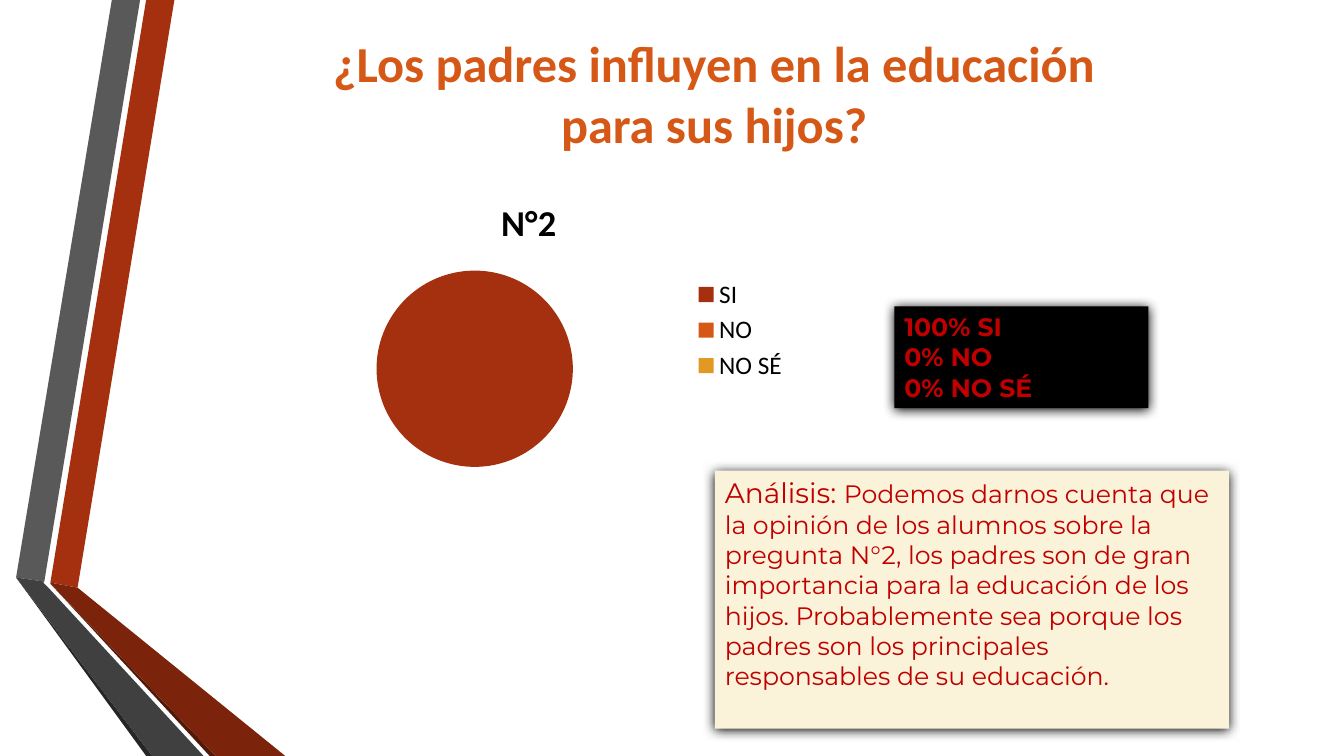
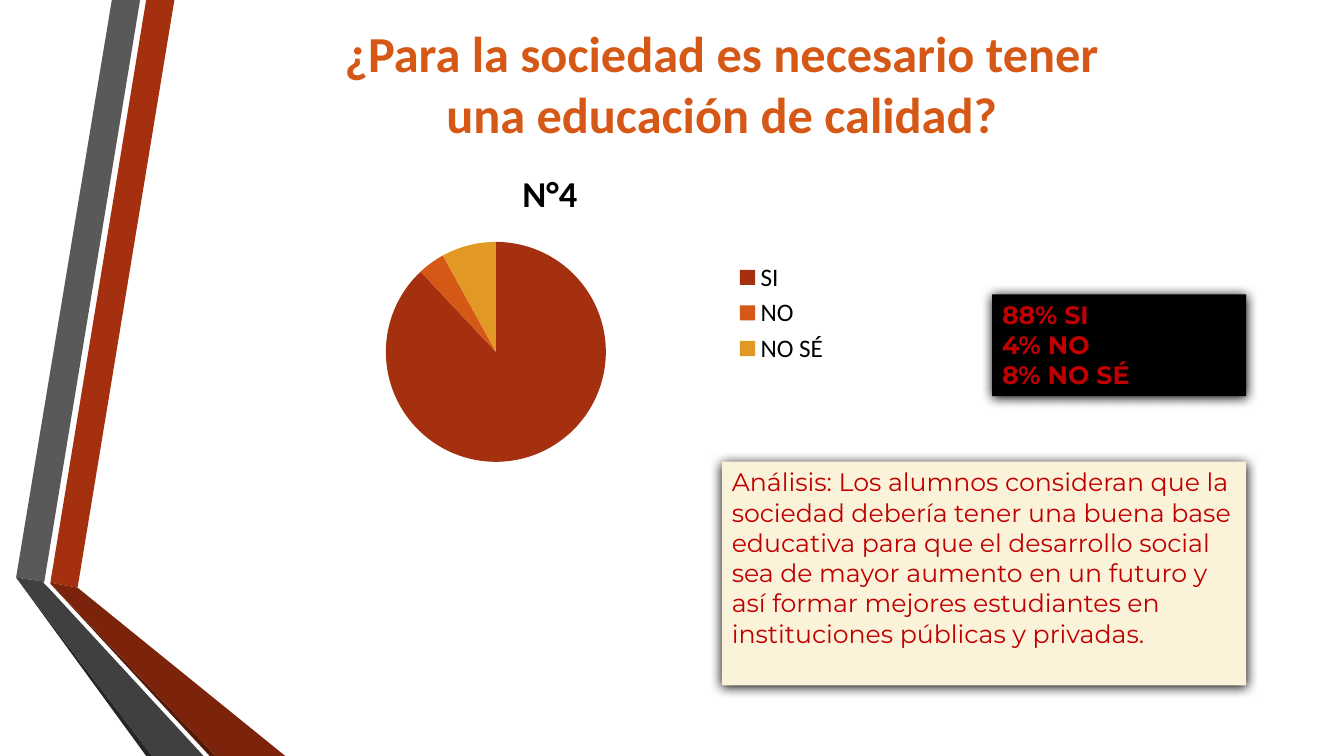
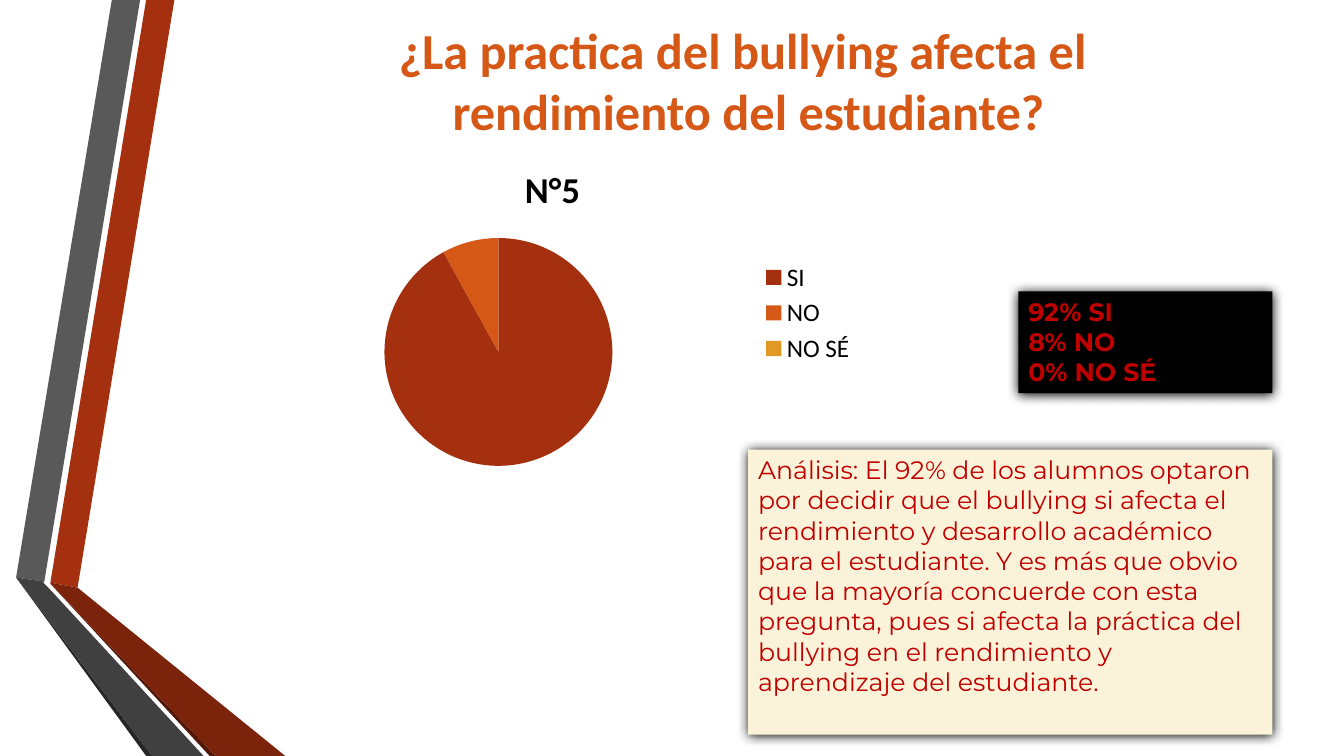
from lxml.etree import SubElement
from pptx import Presentation
from pptx.chart.data import CategoryChartData
from pptx.dml.color import RGBColor
from pptx.enum.chart import XL_CHART_TYPE as ChartType, XL_LEGEND_POSITION as LegendPosition
from pptx.enum.shapes import MSO_SHAPE as Shape
from pptx.enum.text import MSO_ANCHOR as Anchor, MSO_AUTO_SIZE as AutoSize, PP_ALIGN as Align
from pptx.oxml.ns import qn
from pptx.util import Inches, Pt

RUST, ORANGE, AMBER = "A5300F", "D55816", "E19825"
RED, CREAM, BLACK = "C00000", "FAF3D9", "000000"
HEADING_FONT, BODY_FONT = "Calibri", "Montserrat"
ANSWERS = ["SI", "NO", "NO SÉ"]
TITLE_HEIGHT, RESULT_SIZE = 1.31, (2.52, 1.01)

BANDS = [
    (RUST, [(0.5, 5.78), (0.77, 5.83), (1.73, 0), (1.45, 0)]),
    ("595959", [(1.39, 0), (1.11, 0), (0.16, 5.73), (0.44, 5.77)]),
    ("262626", [(0.16, 5.73), (1.45, 7.5), (1.51, 7.5)]),
    ("521808", [(0.5, 5.79), (2.08, 7.5), (2.14, 7.5)]),
    ("7C240B", [(0.5, 5.79), (2.14, 7.5), (2.83, 7.5), (0.77, 5.83), (0.5, 5.78)]),
    ("404040", [(2.02, 7.5), (0.48, 5.83), (0.43, 5.78), (0.44, 5.77), (0.16, 5.73), (1.51, 7.5)]),
]

QUESTIONS = [
    {
        "title": ["¿Los padres influyen en la educación", "para sus hijos?"],
        "title_at": (3.04, 0.27, 8.09),
        "number": "N°2", "shares": [100, 0, 0], "chart_at": (2.57, 1.78, 5.35, 2.99),
        "result_at": (8.87, 3.04),
        "analysis": [
            ("Análisis: ", 20),
            ("Podemos darnos cuenta que la opinión de los alumnos sobre la pregunta N°2, "
             "los padres son de gran importancia para la educación de los hijos. "
             "Probablemente sea porque los padres son los principales responsables "
             "de su educación.", 18),
        ],
        "analysis_at": (7.09, 4.67, 5.1, 2.56),
    },
    {
        "title": ["¿Para la sociedad es necesario tener", "una educación de calidad?"],
        "title_at": (3.17, 0.17, 7.98),
        "number": "N°4", "shares": [88, 4, 8], "chart_at": (2.58, 1.49, 5.75, 3.23),
        "result_at": (9.84, 2.92),
        "analysis": [
            ("Análisis: Los alumnos consideran que la sociedad debería tener una buena base "
             "educativa para que el desarrollo social sea de mayor aumento en un futuro y "
             "así formar mejores estudiantes en instituciones públicas y privadas.", 18),
        ],
        "analysis_at": (7.16, 4.58, 5.2, 2.22),
    },
    {
        "title": ["¿La practica del bullying afecta el ", "rendimiento del estudiante?"],
        "title_at": (3.68, 0.14, 7.49),
        "number": "N°5", "shares": [92, 8, 0], "chart_at": (2.37, 1.45, 6.22, 3.31),
        "result_at": (10.1, 2.89),
        "analysis": [
            ("Análisis: El 92% de los alumnos optaron por decidir que el bullying si afecta "
             "el rendimiento y desarrollo académico para el estudiante. Y es más que obvio "
             "que la mayoría concuerde con esta pregunta, pues si afecta la práctica del "
             "bullying en el rendimiento y aprendizaje del estudiante.", 18),
        ],
        "analysis_at": (7.42, 4.46, 5.2, 2.83),
    },
]


def paint(fill, color):
    fill.solid()
    fill.fore_color.rgb = RGBColor.from_string(color)


def style(font, name, size, color, bold=False):
    font.name, font.size, font.bold = name, Pt(size), bold
    font.color.rgb = RGBColor.from_string(color)


def write(frame, paragraphs, font, color, bold=False, align=Align.LEFT):
    frame.auto_size = AutoSize.NONE
    frame.vertical_anchor = Anchor.TOP
    for index, runs in enumerate(paragraphs):
        paragraph = frame.add_paragraph() if index else frame.paragraphs[0]
        paragraph.alignment = align
        for text, size in runs:
            run = paragraph.add_run()
            run.text = text
            style(run.font, font, size, color, bold)


def add_bands(slide, layout):
    for color, outline in BANDS:
        start, *corners = [(Inches(x), Inches(y)) for x, y in outline]
        builder = slide.shapes.build_freeform(*start)
        builder.add_line_segments(corners, close=True)
        band = builder.convert_to_shape()
        paint(band.fill, color)
        band.line.fill.background()
        band.shadow.inherit = False
        layout.shapes.element.append(band.element)


def add_title(slide, lines, left, top, width):
    title = slide.shapes.title
    title.left, title.top = Inches(left), Inches(top)
    title.width, title.height = Inches(width), Inches(TITLE_HEIGHT)
    write(title.text_frame, [[(line, 36)] for line in lines],
          HEADING_FONT, ORANGE, True, Align.CENTER)
    title.text_frame.word_wrap = False


def add_pie(slide, number, shares, place):
    data = CategoryChartData()
    data.categories = ANSWERS
    data.add_series(number, shares)
    chart = slide.shapes.add_chart(ChartType.PIE, *map(Inches, place), data).chart
    style(chart.font, HEADING_FONT, 18, BLACK)
    chart.has_title = True
    heading = chart.chart_title.text_frame.paragraphs[0].add_run()
    heading.text = number
    style(heading.font, HEADING_FONT, 26, BLACK, True)
    chart.has_legend = True
    chart.legend.position = LegendPosition.RIGHT
    chart.legend.include_in_layout = False
    pie = chart.plots[0]
    pie.vary_by_categories = True
    for index, color in enumerate((RUST, ORANGE, AMBER)):
        paint(pie.series[0].points[index].format.fill, color)


def add_card(slide, place, color, paragraphs, bold=False):
    card = slide.shapes.add_shape(Shape.RECTANGLE, *map(Inches, place))
    paint(card.fill, color)
    card.line.fill.background()
    card.shadow.inherit = False
    effects = card.element.spPr.find(qn("a:effectLst"))
    shadow = SubElement(effects, qn("a:outerShdw"), blurRad=str(Pt(8.5)), dist=str(Pt(1)),
                        dir="5400000", algn="ctr", rotWithShape="0")
    SubElement(shadow, qn("a:srgbClr"), val=BLACK)
    card.text_frame.word_wrap = True
    write(card.text_frame, paragraphs, BODY_FONT, RED, bold)


def main():
    deck = Presentation()
    deck.slide_width, deck.slide_height = Inches(13.33), Inches(7.5)
    layout = deck.slide_layouts[5]
    paint(layout.background.fill, "FFFFFF")
    for index, question in enumerate(QUESTIONS):
        slide = deck.slides.add_slide(layout)
        if index == 0:
            add_bands(slide, layout)
        add_title(slide, question["title"], *question["title_at"])
        add_pie(slide, question["number"], question["shares"], question["chart_at"])
        add_card(slide, question["analysis_at"], CREAM, [question["analysis"]])
        results = [[(f"{share}% {answer}", 18)]
                   for share, answer in zip(question["shares"], ANSWERS)]
        add_card(slide, question["result_at"] + RESULT_SIZE, BLACK, results, True)
    deck.save("out.pptx")


if __name__ == "__main__":
    main()
